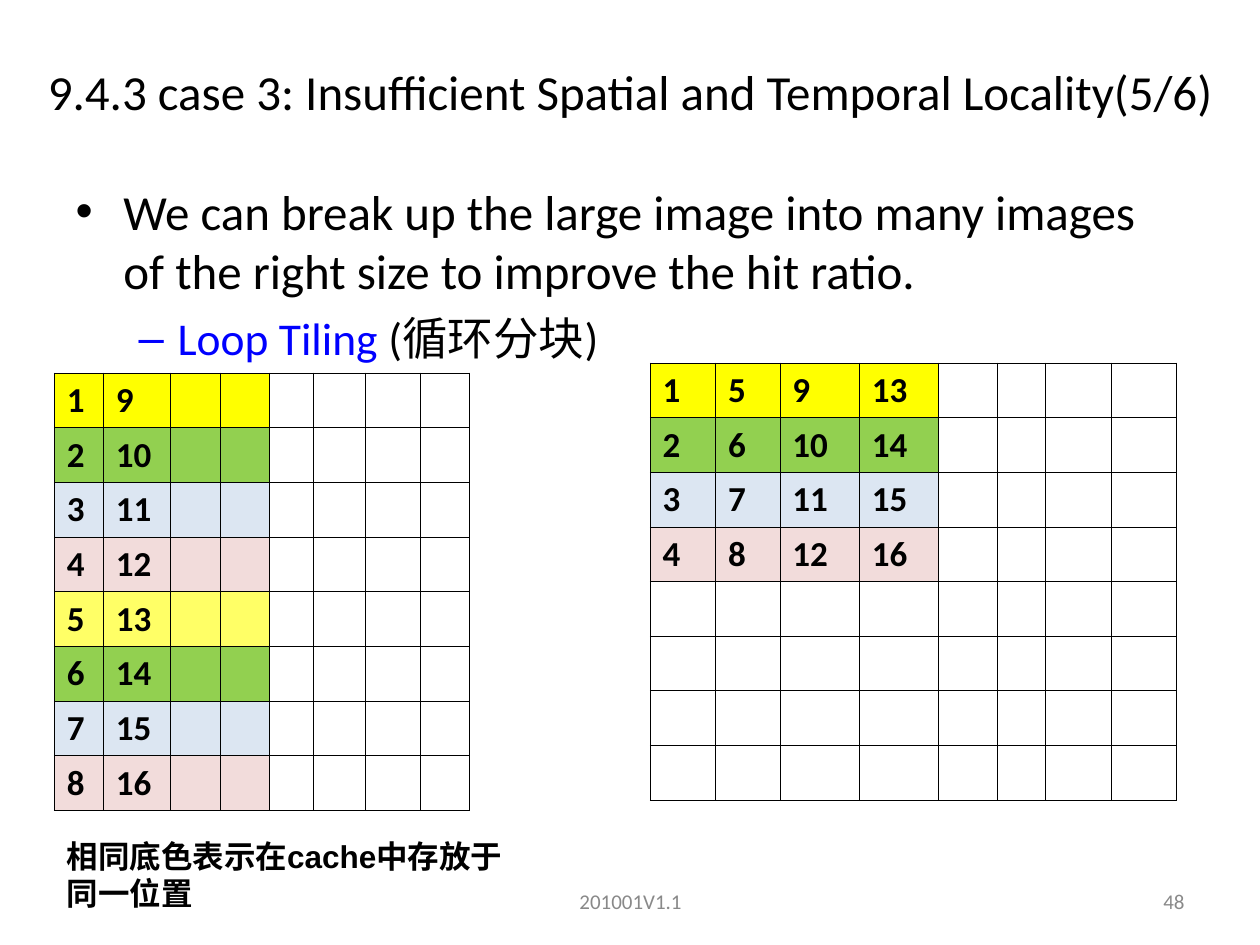
from pptx import Presentation
from pptx.dml.color import RGBColor as RGB
from pptx.enum.text import MSO_ANCHOR as Anchor, MSO_AUTO_SIZE as Fit, PP_ALIGN as Align
from pptx.oxml import parse_xml
from pptx.oxml.ns import nsdecls
from pptx.util import Inches, Pt

HUES = {"black": "000000", "blue": "0000FF", "grey": "898989", "yellow": "FFFF00",
        "lemon": "FFFF66", "green": "92D050", "sky": "DCE6F2", "rose": "F2DCDB"}
SIZE = 8
TINTED = 4


def put(shape, left, top, width, height):
    box = {"left": left, "top": top, "width": width, "height": height}
    for name, value in box.items():
        setattr(shape, name, Inches(value))


def style(font, size, hue="black", face="Calibri", bold=False):
    for name, value in {"size": Pt(size), "name": face, "bold": bold}.items():
        setattr(font, name, value)
    font.color.rgb = RGB.from_string(HUES[hue])


def add_run(para, text, size, hue="black", **look):
    run = para.add_run()
    run.text = text
    style(run.font, size, hue, **look)


def set_bullet(para, mark, hue, left, hang):
    props = para._p.get_or_add_pPr()
    props.set("marL", str(Inches(left)))
    props.set("indent", str(-Inches(hang)))
    for xml in (f'<a:buClr {nsdecls("a")}><a:srgbClr val="{HUES[hue]}"/></a:buClr>',
                f'<a:buFont {nsdecls("a")} typeface="Arial"/>',
                f'<a:buChar {nsdecls("a")} char="{mark}"/>'):
        props.append(parse_xml(xml))


def add_title(slide, text):
    title = slide.shapes.title
    put(title, 0, 0.3, 10, 0.85)
    frame = title.text_frame
    frame.auto_size = Fit.NONE
    frame.vertical_anchor = Anchor.MIDDLE
    add_run(frame.paragraphs[0], text, 28)


def add_body(slide):
    body = slide.placeholders[1]
    put(body, 0.5, 1.39, 9, 5.31)
    frame = body.text_frame
    frame.auto_size = Fit.NONE
    main_point = frame.paragraphs[0]
    set_bullet(main_point, "•", "black", 0.38, 0.38)
    main_point.space_before = Pt(0)
    add_run(main_point, "We can break up the large image into many images "
            "of the right size to improve the hit ratio.", 28)
    method = frame.add_paragraph()
    method.level = 1
    set_bullet(method, "–", "blue", 0.81, 0.31)
    method.space_before = Pt(6.5)
    add_run(method, "Loop Tiling ", 26, "blue")
    add_run(method, "(循环分块)", 26)


def add_text(slide, text, place, size, hue="black", align=Align.LEFT,
             anchor=Anchor.TOP, **look):
    box = slide.shapes.add_textbox(0, 0, 0, 0)
    put(box, *place)
    frame = box.text_frame
    frame.word_wrap = True
    frame.vertical_anchor = anchor
    para = frame.paragraphs[0]
    para.alignment = align
    add_run(para, text, size, hue, **look)


def add_border(cell):
    props = cell._tc.get_or_add_tcPr()
    for side in "LRTB":
        props.append(parse_xml(
            f'<a:ln{side} {nsdecls("a")} w="{Pt(0.45)}"><a:solidFill>'
            f'<a:srgbClr val="{HUES["black"]}"/></a:solidFill></a:ln{side}>'))


def add_grid(slide, left, top, widths, tints, filled):
    """Tint the left half of the leading rows and number filled columns downwards."""
    place = [Inches(v) for v in (left, top, sum(widths), 3.47)]
    table = slide.shapes.add_table(SIZE, SIZE, *place).table
    table.first_row = table.horz_banding = False
    for col, width in zip(table.columns, widths):
        col.width = Inches(width)
    for r, row in enumerate(table.rows):
        for c, cell in enumerate(row.cells):
            add_border(cell)
            if r >= len(tints) or c >= TINTED:
                cell.fill.background()
                continue
            cell.fill.solid()
            cell.fill.fore_color.rgb = RGB.from_string(HUES[tints[r]])
            if c < filled:
                number = c * len(tints) + r + 1
                add_run(cell.text_frame.paragraphs[0], str(number), 20, bold=True)


def main():
    deck = Presentation()
    deck.slide_width, deck.slide_height = Inches(10), Inches(7.5)
    slide = deck.slides.add_slide(deck.slide_layouts[1])
    small = {"size": 12, "hue": "grey", "anchor": Anchor.MIDDLE}
    add_text(slide, "201001V1.1", (3.42, 6.95, 3.17, 0.4), align=Align.CENTER, **small)
    add_text(slide, "48", (7.17, 6.95, 2.33, 0.4), align=Align.RIGHT, **small)
    add_title(slide, "9.4.3 case 3: Insufficient Spatial and Temporal Locality(5/6)")
    add_body(slide)
    rest = ["green", "sky", "rose"]
    add_grid(slide, 0.43, 2.96, [0.39, 0.53, 0.4, 0.39, 0.35, 0.41, 0.44, 0.39],
             ["yellow", *rest, "lemon", *rest], filled=2)
    add_grid(slide, 5.16, 2.88, [0.52, 0.51, 0.63, 0.63, 0.47, 0.38, 0.52, 0.52],
             ["yellow", *rest], filled=4)
    add_text(slide, "相同底色表示在cache中存放于同一位置", (0.43, 6.59, 3.86, 0.7),
             18, face="Arial", bold=True)
    deck.save("out.pptx")


if __name__ == "__main__":
    main()
